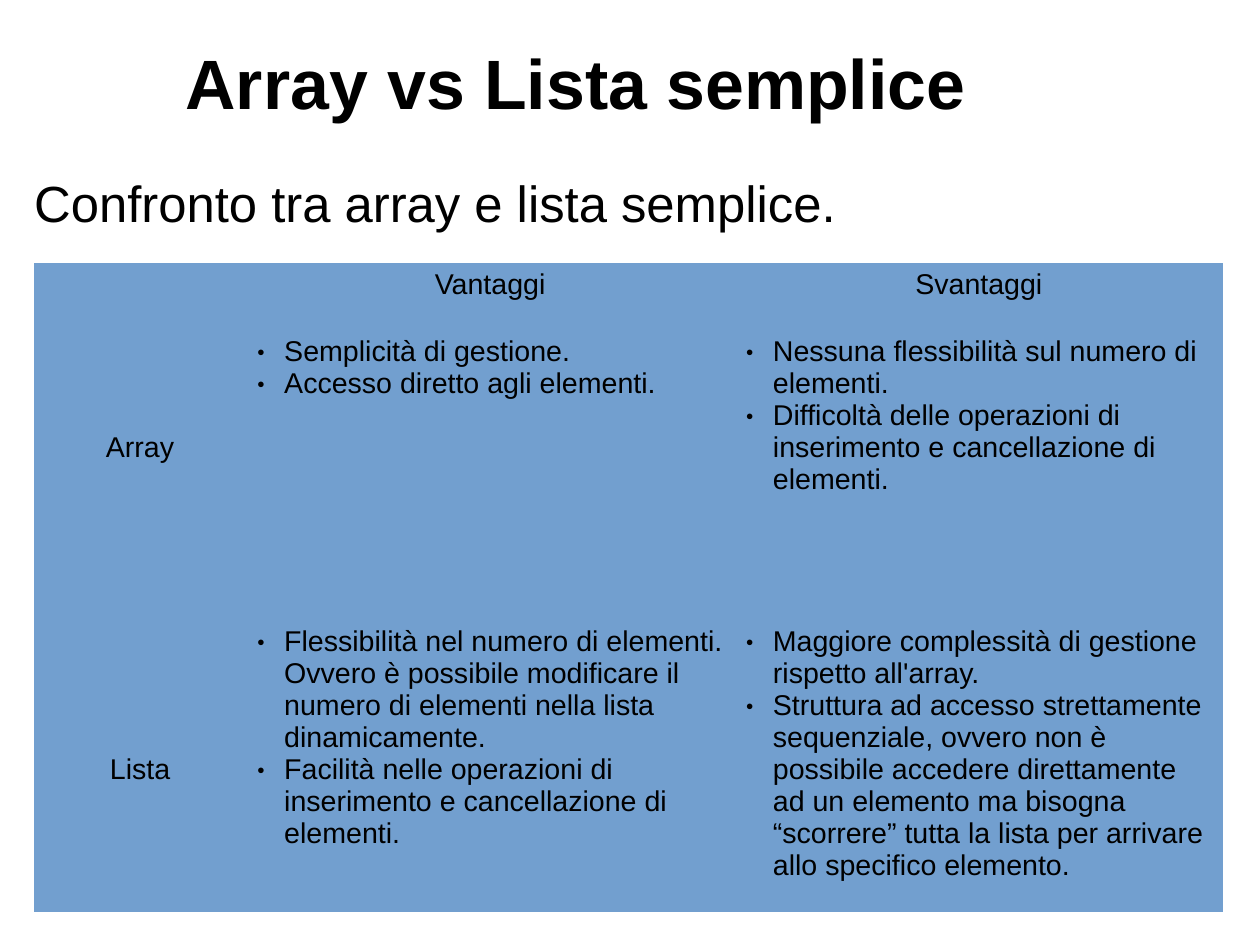
from pptx import Presentation
from pptx.dml.color import RGBColor
from pptx.enum.text import MSO_ANCHOR, PP_ALIGN
from pptx.oxml.ns import qn
from pptx.util import Cm, Inches, Pt
from lxml import etree

CENTER, LEFT = PP_ALIGN.CENTER, PP_ALIGN.LEFT
TOP, MIDDLE = MSO_ANCHOR.TOP, MSO_ANCHOR.MIDDLE

TITLE = "Array vs Lista semplice"
SUBTITLE = "Confronto tra array e lista semplice."
HEADERS = ["Vantaggi", "Svantaggi"]
COMPARISON = [
    ("Array",
     ["Semplicità di gestione.", "Accesso diretto agli elementi."],
     ["Nessuna flessibilità sul numero di elementi.",
      "Difficoltà delle operazioni di inserimento e cancellazione di elementi."]),
    ("Lista",
     ["Flessibilità nel numero di elementi. Ovvero è possibile modificare il numero di "
      "elementi nella lista dinamicamente.",
      "Facilità nelle operazioni di inserimento e cancellazione di elementi."],
     ["Maggiore complessità di gestione rispetto all'array.",
      "Struttura ad accesso strettamente sequenziale, ovvero non è possibile accedere "
      "direttamente ad un elemento ma bisogna “scorrere” tutta la lista per arrivare "
      "allo specifico elemento."]),
]
COLORS = {"text": "000000", "cell": "729FCF"}
FONT = "Arial"
SLIDE_WIDTH, SLIDE_HEIGHT = Cm(28), Cm(21)
COLUMN_WIDTHS = [Cm(4.7), Cm(10.86), Cm(10.86)]
ROW_HEIGHTS = [Cm(1.49), Cm(6.45), Cm(6.48)]
LABEL_LINES_ABOVE = [3, 4]
LINE_HEIGHT = 0.28
CELL_MARGIN = 0.05
BULLET_INDENT = Cm(0.6)
MARGIN = Inches(0.3)


def style_paragraph(paragraph, size, alignment=LEFT, bold=False):
    paragraph.alignment = alignment
    font = paragraph.font
    font.name, font.size, font.bold = FONT, Pt(size), bold
    font.color.rgb = RGBColor.from_string(COLORS["text"])


def fill_frame(frame, text, size, anchor, alignment=LEFT, bold=False):
    frame.word_wrap = True
    frame.vertical_anchor = anchor
    frame.margin_left = frame.margin_right = frame.margin_top = frame.margin_bottom = 0
    frame.text = text
    style_paragraph(frame.paragraphs[0], size, alignment, bold)


def add_bullet(paragraph):
    properties = paragraph._p.get_or_add_pPr()
    properties.set("marL", str(BULLET_INDENT))
    properties.set("indent", str(-BULLET_INDENT))
    color = etree.SubElement(properties, qn("a:buClr"))
    etree.SubElement(color, qn("a:srgbClr"), val=COLORS["text"])
    etree.SubElement(properties, qn("a:buSzPct"), val="45000")
    etree.SubElement(properties, qn("a:buFont"), typeface=FONT)
    etree.SubElement(properties, qn("a:buChar"), char="●")


def format_cell(cell, lines, bulleted=False, lines_above=0):
    cell.margin_top = Inches(CELL_MARGIN + lines_above * LINE_HEIGHT)
    cell.vertical_anchor = TOP
    properties = cell._tc.get_or_add_tcPr()
    for side in ("a:lnL", "a:lnR", "a:lnT", "a:lnB"):
        etree.SubElement(etree.SubElement(properties, qn(side)), qn("a:noFill"))
    cell.fill.solid()
    cell.fill.fore_color.rgb = RGBColor.from_string(COLORS["cell"])
    cell.text = "\n".join(lines)
    for paragraph in cell.text_frame.paragraphs:
        if bulleted:
            add_bullet(paragraph)
        style_paragraph(paragraph, 18, LEFT if bulleted else CENTER)


presentation = Presentation()
presentation.slide_width, presentation.slide_height = SLIDE_WIDTH, SLIDE_HEIGHT
slide = presentation.slides.add_slide(presentation.slide_layouts[5])

title = slide.shapes.title
title.left, title.top = Inches(0.08), Inches(0.02)
title.width, title.height = Inches(9.92), Inches(1.38)
fill_frame(title.text_frame, TITLE, 44, MIDDLE, CENTER, True)

subtitle = slide.shapes.add_textbox(MARGIN, Inches(1.5), Inches(10.3), Inches(6.48))
fill_frame(subtitle.text_frame, SUBTITLE, 32, TOP)

table = slide.shapes.add_table(
    len(ROW_HEIGHTS), len(COLUMN_WIDTHS), MARGIN, Inches(2.3),
    sum(COLUMN_WIDTHS), sum(ROW_HEIGHTS)).table
table.first_row = table.horz_banding = False
for column, width in zip(table.columns, COLUMN_WIDTHS):
    column.width = width
for row, height in zip(table.rows, ROW_HEIGHTS):
    row.height = height

for column, header in enumerate([""] + HEADERS):
    format_cell(table.cell(0, column), [header])
for row, ((label, *points), lines_above) in enumerate(zip(COMPARISON, LABEL_LINES_ABOVE), 1):
    format_cell(table.cell(row, 0), [label], lines_above=lines_above)
    for column, lines in enumerate(points, 1):
        format_cell(table.cell(row, column), lines, bulleted=True)

presentation.save("out.pptx")
